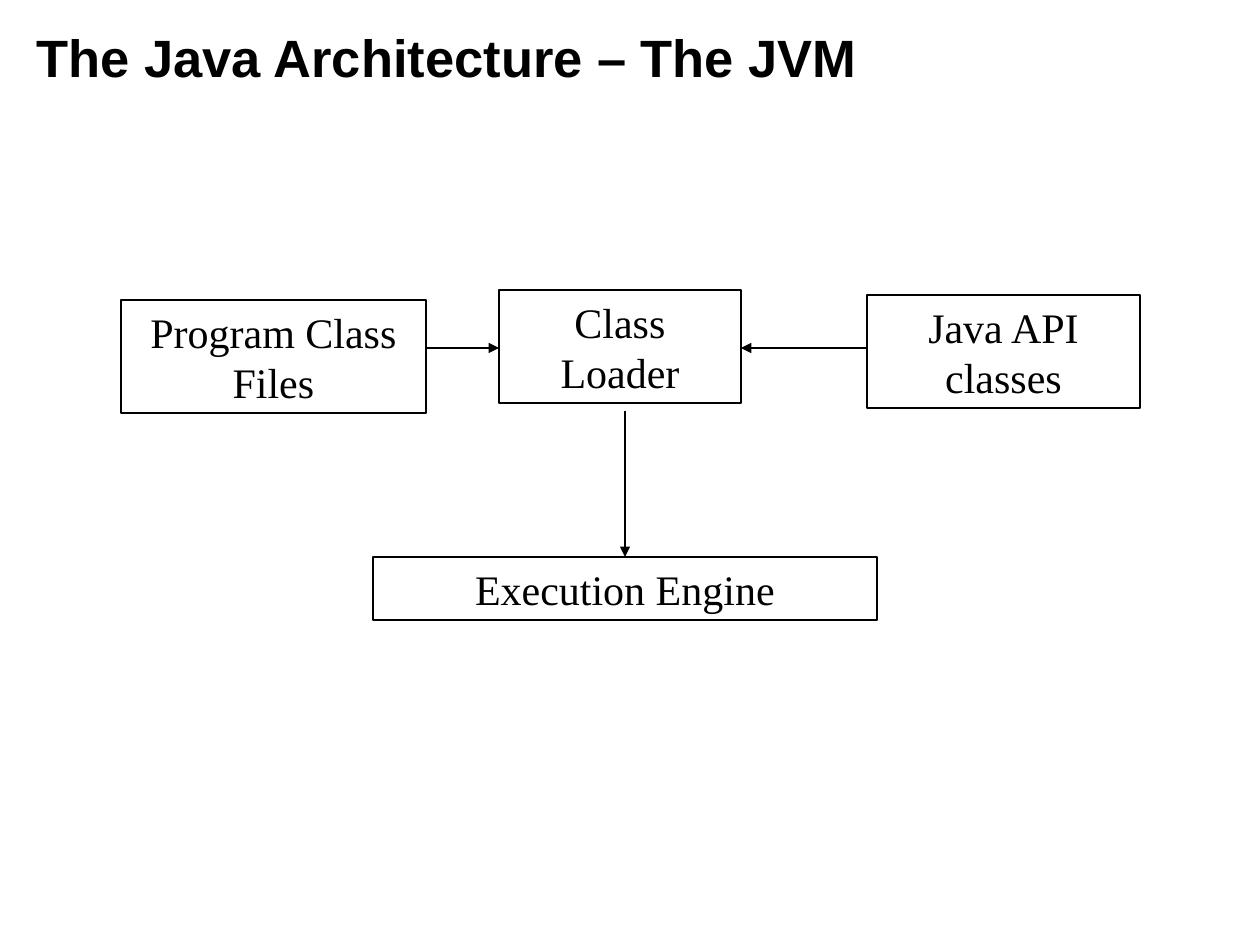
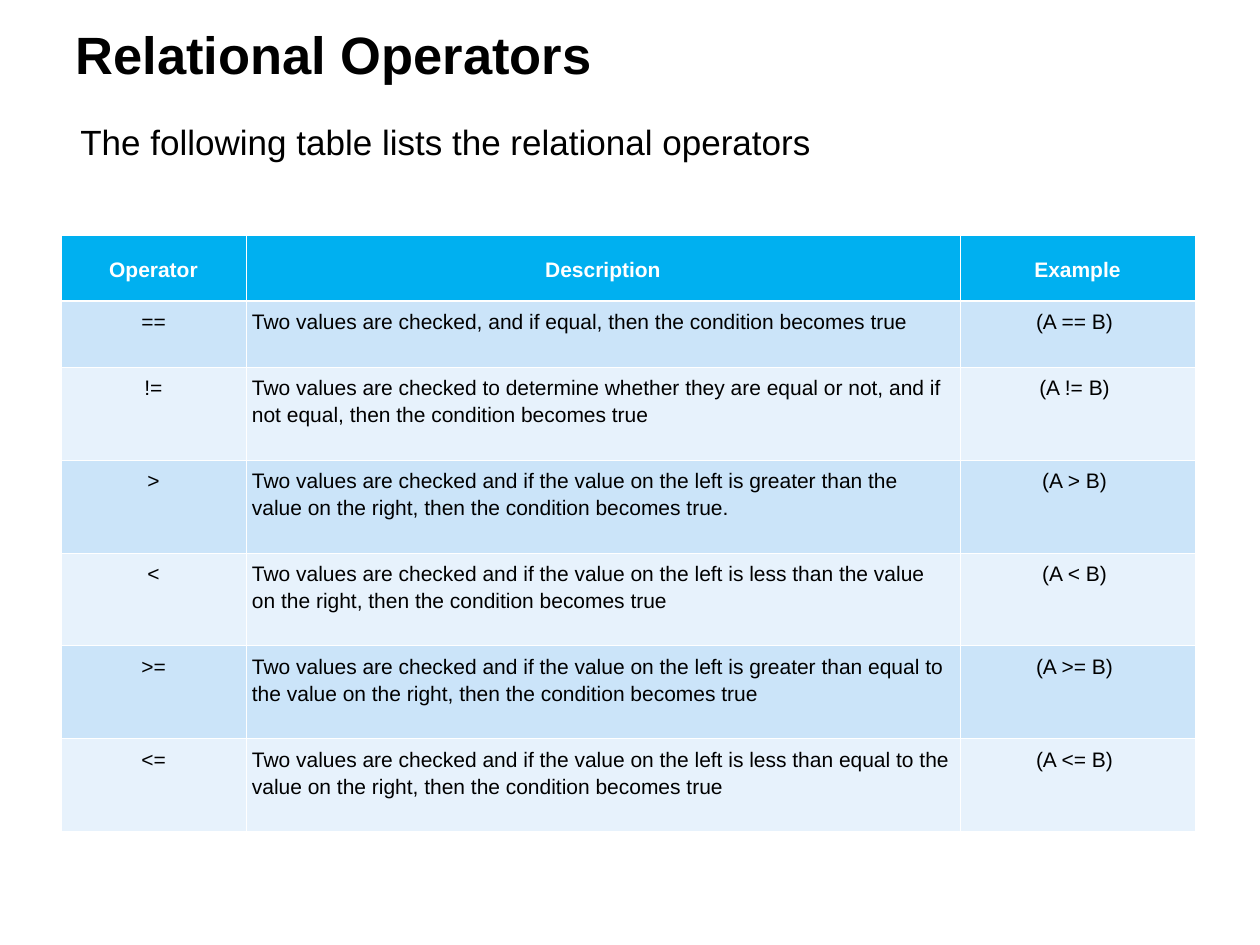
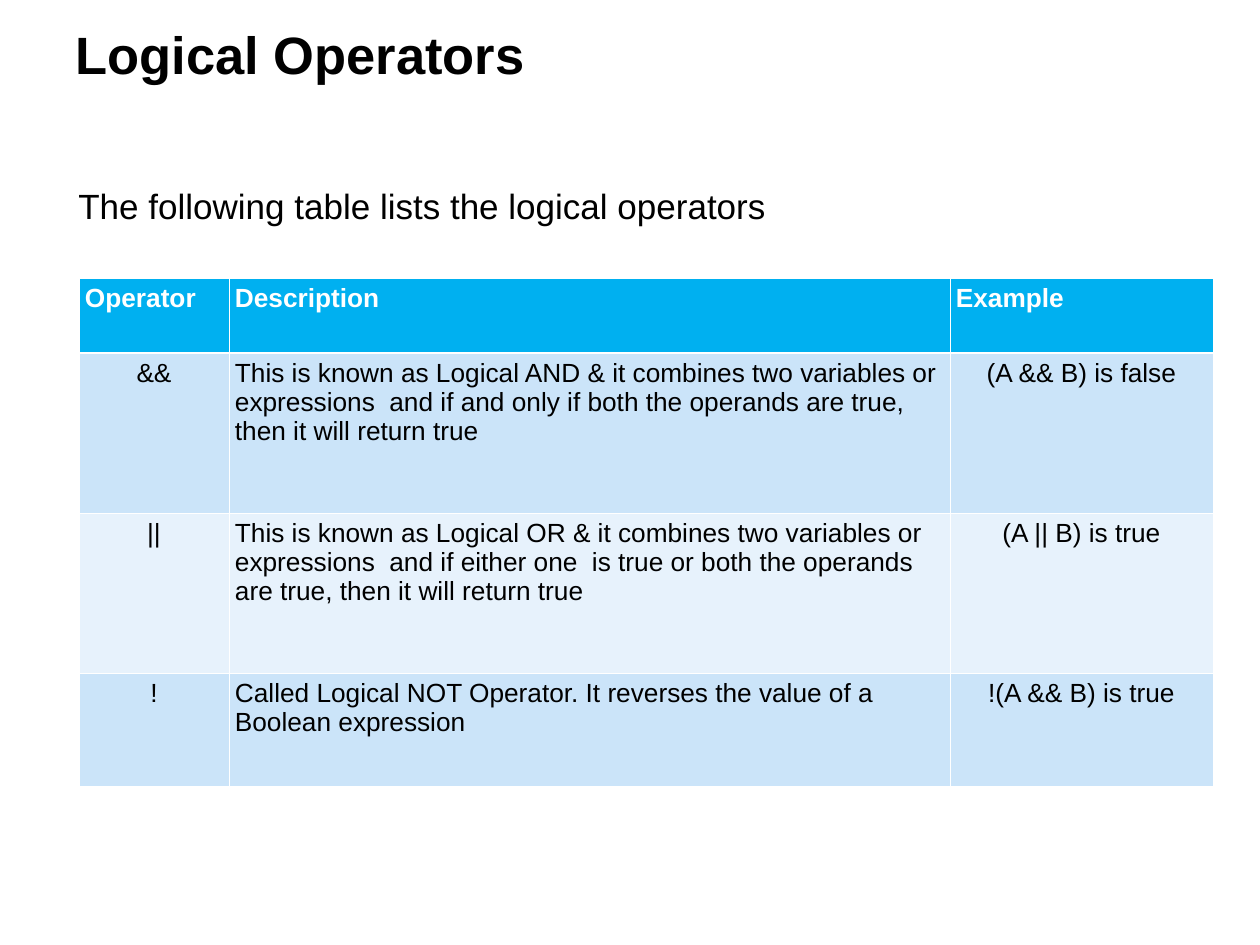
import pptx
import pptx.dml.color
import pptx.enum.shapes
import pptx.enum.text
import pptx.oxml
import pptx.oxml.ns
import pptx.util

EMU_PER_PX = 914400 / 126
SLIDE_WIDTH, SLIDE_HEIGHT = 1260, 945
TITLE_ONLY_LAYOUT = 5

BLACK = pptx.dml.color.RGBColor(0x00, 0x00, 0x00)
WHITE = pptx.dml.color.RGBColor(0xFF, 0xFF, 0xFF)
HEADER_BLUE = pptx.dml.color.RGBColor(0x00, 0xB0, 0xF0)
BAND_BLUES = (
    pptx.dml.color.RGBColor(0xCB, 0xE4, 0xF9),
    pptx.dml.color.RGBColor(0xE7, 0xF2, 0xFC),
)

LEFT = pptx.enum.text.PP_ALIGN.LEFT
CENTER = pptx.enum.text.PP_ALIGN.CENTER
TOP = pptx.enum.text.MSO_ANCHOR.TOP
MIDDLE = pptx.enum.text.MSO_ANCHOR.MIDDLE

TITLE_FONT = {"name": "Arial", "size": pptx.util.Pt(30), "bold": True}
INTRO_FONT = {"name": "Arial", "size": pptx.util.Pt(20)}
BOX_FONT = {"name": "Times New Roman", "size": pptx.util.Pt(24)}

OUTLINE = pptx.util.Pt(0.75)
GRID_LINE = pptx.util.Pt(0.45)
HEADER_RULE = pptx.util.Pt(1.47)
CELL_MARGIN = 6

HEADINGS = ("Operator", "Description", "Example")
CHECKED = "Two values are checked"
THEN_TRUE = "then the condition becomes true"
RELATIONAL = [
    ("==", f"{CHECKED}, and if equal, {THEN_TRUE}"),
    ("!=", f"{CHECKED} to determine whether they are equal or not, "
           f"and if not equal, {THEN_TRUE}"),
    (">", f"{CHECKED} and if the value on the left is greater than "
          f"the value on the right, {THEN_TRUE}."),
    ("<", f"{CHECKED} and if the value on the left is less than "
          f"the value on the right, {THEN_TRUE}"),
    (">=", f"{CHECKED} and if the value on the left is greater than equal to "
           f"the value on the right, {THEN_TRUE}"),
    ("<=", f"{CHECKED} and if the value on the left is less than equal to "
           f"the value on the right, {THEN_TRUE}"),
]
LOGICAL = [
    ("&&", "This is known as Logical AND & it combines two variables or "
           "expressions  and if and only if both the operands are true, "
           "then it will return true", "(A && B) is false"),
    ("||", "This is known as Logical OR & it combines two variables or "
           "expressions  and if either one  is true or both the operands  "
           "are true, then it will return true", "(A || B) is true"),
    ("!", "Called Logical NOT Operator. It reverses the value of a "
          "Boolean expression", "!(A && B) is true"),
]


def px(length):
    return pptx.util.Emu(round(length * EMU_PER_PX))


def set_values(target, values):
    for attribute, value in values.items():
        setattr(target, attribute, value)


def write(frame, text, font, color=BLACK, **paragraph_format):
    """Put one formatted paragraph into a text frame."""
    frame.text = text
    paragraph = frame.paragraphs[0]
    set_values(paragraph, paragraph_format)
    set_values(paragraph.font, font)
    paragraph.font.color.rgb = color


def add_titled_slide(deck, title, left, top, width):
    slide = deck.slides.add_slide(deck.slide_layouts[TITLE_ONLY_LAYOUT])
    heading = slide.shapes.title
    set_values(heading, {"left": px(left), "top": px(top),
                         "width": px(width), "height": px(77)})
    heading.text_frame.vertical_anchor = MIDDLE
    write(heading.text_frame, title, TITLE_FONT, alignment=LEFT)
    return slide


def add_intro(slide, text, left, top):
    intro = slide.shapes.add_textbox(px(left), px(top), px(1134), px(55))
    intro.text_frame.word_wrap = True
    write(intro.text_frame, text, INTRO_FONT)


def add_component(slide, name, left, top, width, height=113):
    component = slide.shapes.add_shape(
        pptx.enum.shapes.MSO_SHAPE.RECTANGLE,
        px(left), px(top), px(width), px(height))
    component.shadow.inherit = False
    component.fill.background()
    component.line.color.rgb = BLACK
    component.line.width = OUTLINE
    component.text_frame.word_wrap = True
    component.text_frame.vertical_anchor = MIDDLE
    write(component.text_frame, name, BOX_FONT, alignment=CENTER)


def add_arrow(slide, start, end):
    arrow = slide.shapes.add_connector(
        pptx.enum.shapes.MSO_CONNECTOR.STRAIGHT,
        *(px(length) for length in start + end))
    arrow.line.color.rgb = BLACK
    arrow.line.width = OUTLINE
    properties = arrow.element.spPr
    head = pptx.oxml.parse_xml(
        f'<a:tailEnd {pptx.oxml.ns.nsdecls("a")} type="triangle"/>')
    properties.find(pptx.oxml.ns.qn("a:ln")).append(head)
    properties.append(pptx.oxml.parse_xml(
        f'<a:effectLst {pptx.oxml.ns.nsdecls("a")}/>'))


def add_borders(cell, top, bottom):
    """Draw white cell borders; call before filling, as the schema orders them."""
    widths = {"L": GRID_LINE, "R": GRID_LINE, "T": top, "B": bottom}
    for side, width in widths.items():
        cell._tc.get_or_add_tcPr().append(pptx.oxml.parse_xml(
            f'<a:ln{side} {pptx.oxml.ns.nsdecls("a")} w="{width}">'
            f'<a:solidFill><a:srgbClr val="{WHITE}"/></a:solidFill>'
            f'</a:ln{side}>'))


def add_operator_table(slide, operators, left, top, widths, heights, size,
                       header_align=LEFT, header_anchor=TOP, spacing=1.0):
    table = slide.shapes.add_table(
        len(heights), len(widths), px(left), px(top),
        px(sum(widths)), px(sum(heights))).table
    table.horz_banding = False
    for column, width in zip(table.columns, widths):
        column.width = px(width)
    for row, height in zip(table.rows, heights):
        row.height = px(height)

    margins = {f"margin_{side}": px(CELL_MARGIN)
               for side in ("left", "top", "right", "bottom")}
    for r, texts in enumerate([HEADINGS, *operators]):
        is_header = r == 0
        for c, text in enumerate(texts):
            cell = table.cell(r, c)
            set_values(cell, margins)
            cell.vertical_anchor = header_anchor if is_header else TOP
            add_borders(cell, HEADER_RULE if r == 1 else GRID_LINE,
                        HEADER_RULE if is_header else GRID_LINE)
            cell.fill.solid()
            cell.fill.fore_color.rgb = (
                HEADER_BLUE if is_header else BAND_BLUES[(r - 1) % 2])
            body_align = LEFT if HEADINGS[c] == "Description" else CENTER
            write(cell.text_frame, text,
                  {"name": "Arial", "size": pptx.util.Pt(size), "bold": is_header},
                  WHITE if is_header else BLACK,
                  alignment=header_align if is_header else body_align,
                  line_spacing=spacing)


def add_jvm_slide(deck):
    slide = add_titled_slide(deck, "The Java Architecture – The JVM", 24, 18, 1042)
    add_component(slide, "Program Class Files", 121, 300, 305)
    add_component(slide, "Class Loader", 499, 290, 242)
    add_component(slide, "Java API classes", 867, 295, 273)
    add_component(slide, "Execution Engine", 373, 557, 504, 63)
    add_arrow(slide, (426, 348), (499, 348))
    add_arrow(slide, (867, 348), (741, 348))
    add_arrow(slide, (625, 411), (625, 557))


def add_relational_slide(deck):
    slide = add_titled_slide(deck, "Relational Operators", 63, 15, 1134)
    operators = [(sign, meaning, f"(A {sign} B) ") for sign, meaning in RELATIONAL]
    add_operator_table(slide, operators, 61, 235, (185, 714, 235),
                       [66] * 2 + [93] * 5, 12, CENTER, MIDDLE, 1.15)
    add_intro(slide, "The following table lists the relational operators", 68, 114)


def add_logical_slide(deck):
    slide = add_titled_slide(deck, "Logical Operators", 63, 15, 1134)
    add_operator_table(slide, LOGICAL, 79, 278, (150, 721, 263),
                       (75, 160, 160, 113), 15)
    add_intro(slide, "The following table lists the logical operators", 66, 178)


def main():
    deck = pptx.Presentation()
    deck.slide_width = px(SLIDE_WIDTH)
    deck.slide_height = px(SLIDE_HEIGHT)
    add_jvm_slide(deck)
    add_relational_slide(deck)
    add_logical_slide(deck)
    deck.save("out.pptx")


if __name__ == "__main__":
    main()
